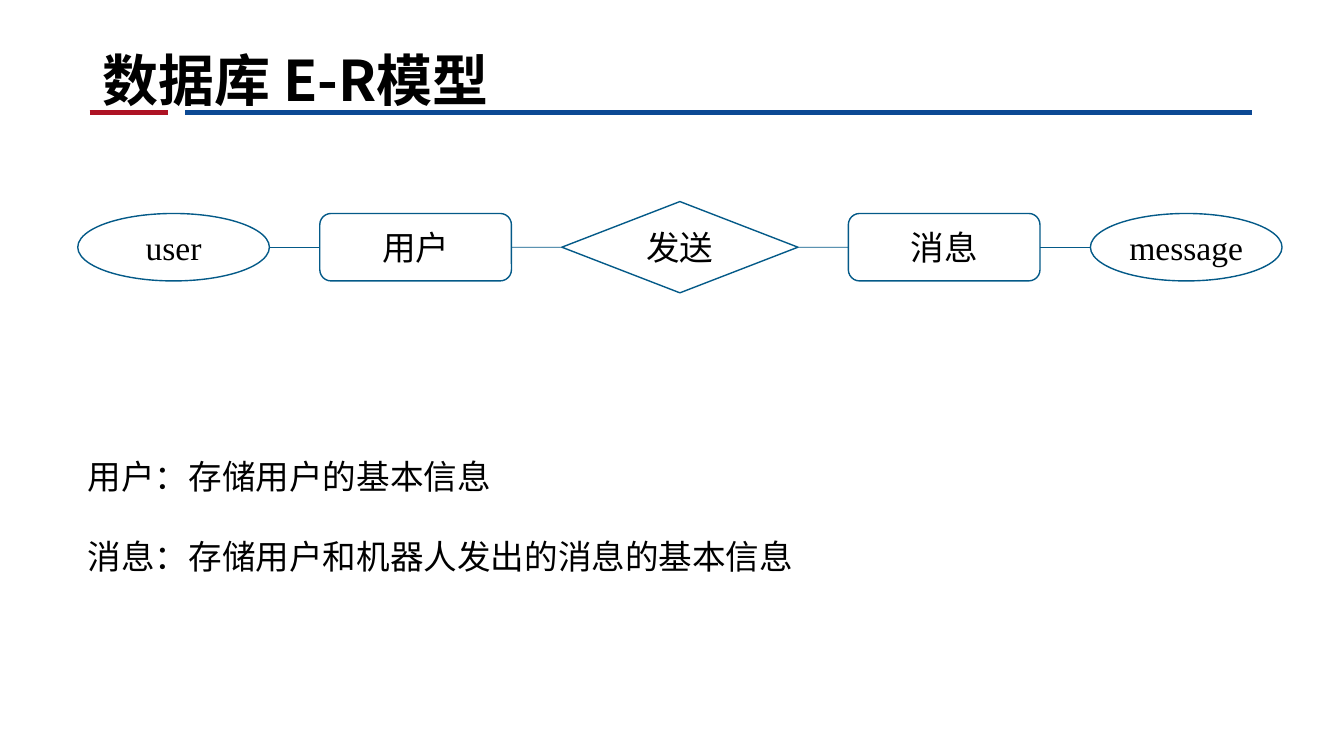
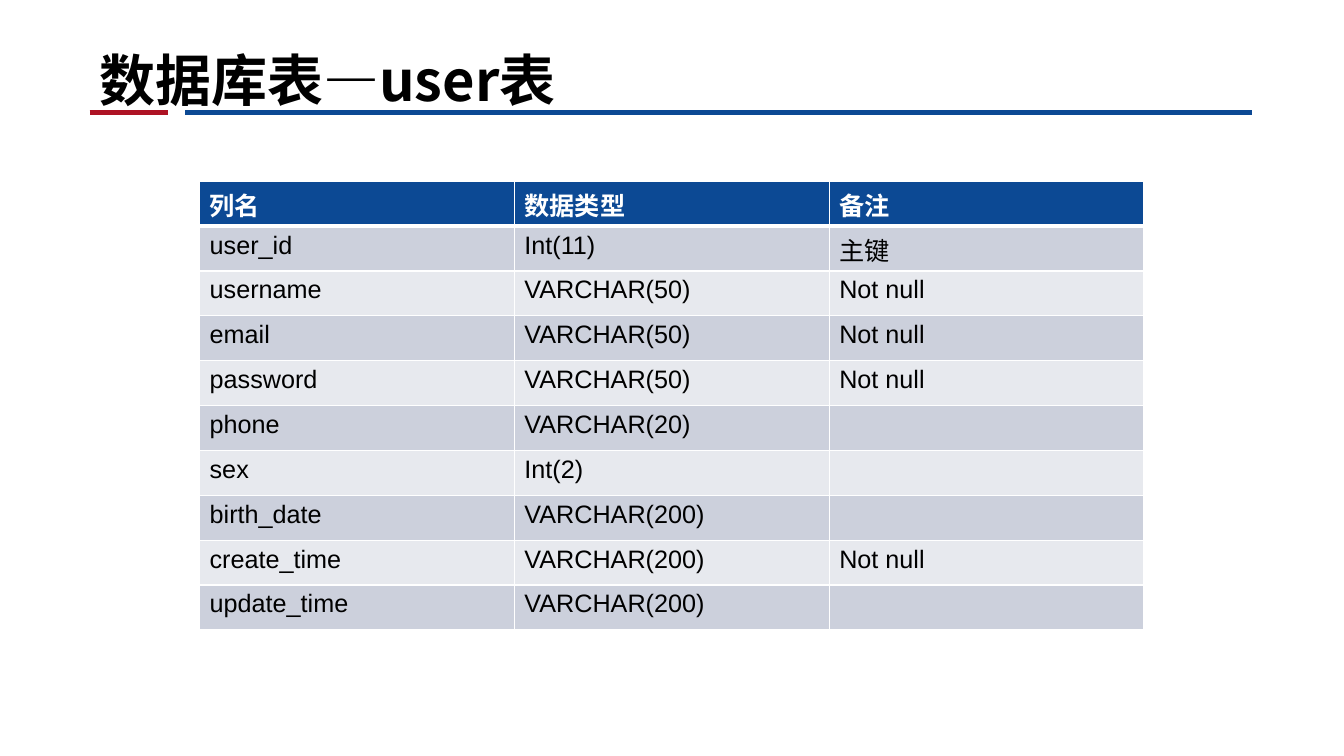
from lxml import etree
from pptx import Presentation
from pptx import util as u
from pptx.dml.color import RGBColor
from pptx.enum import shapes, text
from pptx.oxml import ns

COLOURS = {
    "ink": "000000",
    "paper": "FFFFFF",
    "red": "AE1324",
    "blue": "0C4994",
    "outline": "045A88",
    "odd_row": "CCD0DC",
    "even_row": "E7E9EE",
}
SANS = "Noto Sans CJK SC"
SERIF = "Times New Roman"
CONDENSED = "Roboto Condensed"
TABLE_FONT = "Arial"


def colour(name):
    return RGBColor.from_string(COLOURS[name])


class Deck:
    def __init__(self):
        self.presentation = Presentation()
        self.presentation.slide_width = u.Cm(33.87)
        self.presentation.slide_height = u.Cm(19.05)
        self.slide = None

    def new_slide(self, title_left, title_runs):
        layout = self.presentation.slide_layouts[6]
        self.slide = self.presentation.slides.add_slide(layout)
        self.line(2.26, 4.24, 2.84, "red", 3.5)
        self.line(4.67, 31.55, 2.84, "blue", 3.5)
        frame = self.text_frame(title_left, 0, 29.25, 2.84)
        frame.word_wrap = True
        frame.vertical_anchor = text.MSO_ANCHOR.BOTTOM
        frame.margin_bottom = 0
        for words, font in title_runs:
            run = frame.paragraphs[0].add_run()
            run.text = words
            self.format_run(run, 40, font, bold=True)

    def format_run(self, run, size, font, ink="ink", bold=False):
        run.font.size = u.Pt(size)
        run.font.bold = bold
        run.font.color.rgb = colour(ink)
        run.font.name = font
        east_asian = etree.SubElement(run.font._element, ns.qn("a:ea"))
        east_asian.set("typeface", SANS)

    def text_frame(self, left, top, width, height):
        box = self.slide.shapes.add_textbox(*map(u.Cm, (left, top, width, height)))
        return box.text_frame

    def line(self, start, end, y, ink, weight):
        connector = self.slide.shapes.add_connector(
            shapes.MSO_CONNECTOR.STRAIGHT, u.Cm(start), u.Cm(y), u.Cm(end), u.Cm(y))
        connector.line.color.rgb = colour(ink)
        connector.line.width = u.Pt(weight)
        etree.SubElement(connector._element.spPr, ns.qn("a:effectLst"))
        return connector

    def node(self, kind, words, left, middle, width, height):
        shape = self.slide.shapes.add_shape(
            kind, u.Cm(left), u.Cm(middle - height / 2), u.Cm(width), u.Cm(height))
        shape.shadow.inherit = False
        shape.fill.solid()
        shape.fill.fore_color.rgb = colour("paper")
        shape.line.color.rgb = colour("outline")
        shape.line.width = u.Pt(1)
        frame = shape.text_frame
        frame.text = words
        frame.vertical_anchor = text.MSO_ANCHOR.MIDDLE
        paragraph = frame.paragraphs[0]
        paragraph.alignment = text.PP_ALIGN.CENTER
        self.format_run(paragraph.runs[0], 24, SERIF)
        return shape

    def chain(self, nodes, left, middle, gap):
        previous = None
        for kind, words, width, height in nodes:
            shape = self.node(kind, words, left, middle, width, height)
            if previous is not None:
                link = self.line(left - gap, left, middle, "outline", 0.5)
                if previous.auto_shape_type != shapes.MSO_SHAPE.OVAL:
                    link.begin_connect(previous, 3)
                if kind != shapes.MSO_SHAPE.OVAL:
                    link.end_connect(shape, 1)
            previous = shape
            left += width + gap

    def notes(self, lines, left, top, width, height):
        frame = self.text_frame(left, top, width, height)
        frame.word_wrap = False
        frame.text = "\n".join(lines)
        for paragraph in frame.paragraphs:
            paragraph.line_spacing = 2.0
            self.format_run(paragraph.runs[0], 24, SANS)

    def table(self, rows, left, top, width, height):
        table = self.slide.shapes.add_table(
            len(rows), len(rows[0]), *map(u.Cm, (left, top, width, height))).table
        for row, values in enumerate(rows):
            for column, words in enumerate(values):
                header = row == 0
                cell = table.cell(row, column)
                cell.text = words
                for run in cell.text_frame.paragraphs[0].runs:
                    self.format_run(run, 18, TABLE_FONT,
                                    "paper" if header else "ink", header)
                self.cell_borders(cell, top=3 if row == 1 else 1,
                                  bottom=3 if header else 1)
                cell.fill.solid()
                cell.fill.fore_color.rgb = colour(
                    "blue" if header else "odd_row" if row % 2 else "even_row")

    def cell_borders(self, cell, top, bottom):
        properties = cell._tc.get_or_add_tcPr()
        for side, weight in (("L", 1), ("R", 1), ("T", top), ("B", bottom)):
            border = etree.SubElement(properties, ns.qn(f"a:ln{side}"), w=str(u.Pt(weight)))
            fill = etree.SubElement(border, ns.qn("a:solidFill"))
            etree.SubElement(fill, ns.qn("a:srgbClr"), val=COLOURS["paper"])


def main():
    deck = Deck()

    deck.new_slide(2.34, [("数据库 E-R", SANS), ("模型", CONDENSED)])
    ellipse, entity, relation = (
        shapes.MSO_SHAPE.OVAL,
        shapes.MSO_SHAPE.ROUNDED_RECTANGLE,
        shapes.MSO_SHAPE.FLOWCHART_DECISION,
    )
    deck.chain([
        (ellipse, "user", 4.83, 1.7),
        (entity, "用户", 4.83, 1.7),
        (relation, "发送", 5.95, 2.3),
        (entity, "消息", 4.83, 1.7),
        (ellipse, "message", 4.83, 1.7),
    ], left=1.96, middle=6.23, gap=1.27)
    deck.notes(["用户：存储用户的基本信息", "消息：存储用户和机器人发出的消息的基本信息"],
               1.96, 10.34, 18.47, 3.99)

    deck.new_slide(2.26, [("数据库表—user表", SANS)])
    deck.table([
        ("列名", "数据类型", "备注"),
        ("user_id", "Int(11)", "主键"),
        ("username", "VARCHAR(50)", "Not null"),
        ("email", "VARCHAR(50)", "Not null"),
        ("password", "VARCHAR(50)", "Not null"),
        ("phone", "VARCHAR(20)", ""),
        ("sex", "Int(2)", ""),
        ("birth_date", "VARCHAR(200)", ""),
        ("create_time", "VARCHAR(200)", "Not null"),
        ("update_time", "VARCHAR(200)", ""),
    ], 5.03, 4.57, 23.8, 11.3)

    deck.presentation.save("out.pptx")


if __name__ == "__main__":
    main()
